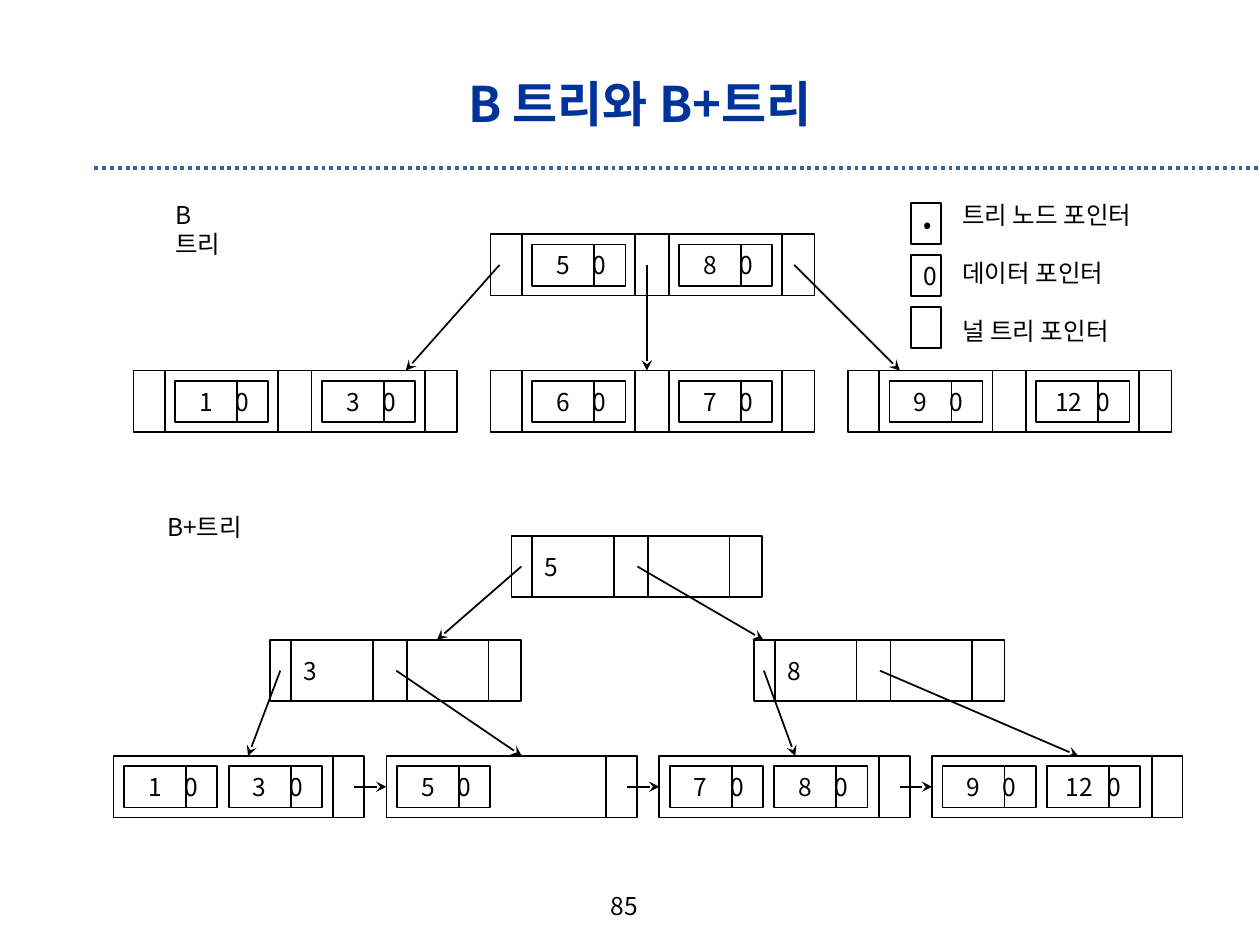
from lxml.etree import SubElement
from pptx import Presentation
from pptx.dml.color import RGBColor
from pptx.enum.dml import MSO_LINE
from pptx.enum.shapes import MSO_CONNECTOR, MSO_SHAPE
from pptx.enum.text import MSO_ANCHOR, PP_ALIGN
from pptx.oxml.ns import qn
from pptx.util import Cm, Pt

COLORS = {"ink": "000000", "paper": "FFFFFF", "title": "003399", "rule": "336699"}
FONT = "Noto Sans CJK KR"
NODE_HEIGHT = 1.24
ENTRY_INSET = 0.21
POINTER_Y = 0.62
B_PITCH = 7.2
LEAF_PITCH = 5.5


def color(key):
    """Look up a palette colour."""
    return RGBColor.from_string(COLORS[key])


def write(shape, text, size=14, ink="ink", bold=False, align=PP_ALIGN.LEFT,
          anchor=MSO_ANCHOR.MIDDLE, left=0.25, right=0.0):
    """Put styled text into a shape, one paragraph per line."""
    frame = shape.text_frame
    frame.word_wrap = True
    frame.vertical_anchor = anchor
    frame.margin_left, frame.margin_right = Cm(left), Cm(right)
    frame.text = text
    for paragraph in frame.paragraphs:
        paragraph.alignment = align
        font = paragraph.font
        font.name, font.size, font.bold = FONT, Pt(size), bold
        font.color.rgb = color(ink)
        SubElement(font._element, qn("a:ea"), typeface=FONT)
    return frame


def add_label(slide, x, y, width, height, text, **style):
    """Add a text box."""
    return write(slide.shapes.add_textbox(Cm(x), Cm(y), Cm(width), Cm(height)), text, **style)


def add_box(slide, x, y, width, height):
    """Add a white outlined rectangle."""
    box = slide.shapes.add_shape(MSO_SHAPE.RECTANGLE, Cm(x), Cm(y), Cm(width), Cm(height))
    box.shadow.inherit = False
    box.fill.solid()
    box.fill.fore_color.rgb = color("paper")
    box.line.color.rgb = color("ink")
    box.line.width = Pt(1)
    return box


def add_line(slide, start, end, ink="ink", width=1, arrow=False):
    """Add a straight line, with an arrowhead at its end if asked."""
    line = slide.shapes.add_connector(
        MSO_CONNECTOR.STRAIGHT, *(Cm(value) for value in (*start, *end)))
    line.line.color.rgb = color(ink)
    line.line.width = Pt(width)
    if arrow:
        SubElement(line.line._get_or_add_ln(), qn("a:tailEnd"), type="stealth")
    SubElement(line._element.spPr, qn("a:effectLst"))
    return line


def add_entry(slide, x, y, key):
    """Draw a key with its data pointer."""
    width, height, divider, pointer = 1.88, 0.83, 1.25, 1.22
    left = 0.6 - 0.11 * len(key)
    frame = write(add_box(slide, x, y, width, height), f"{key}\t0", left=left)
    stops = SubElement(frame.paragraphs[0]._p.get_or_add_pPr(), qn("a:tabLst"))
    SubElement(stops, qn("a:tab"), pos=str(Cm(pointer - left)), algn="l")
    properties = stops.getparent()
    properties.insert(0, stops)
    add_line(slide, (x + divider, y), (x + divider, y + height))


def add_b_node(slide, x, y, keys):
    """Draw a B tree node with two entries between three pointers."""
    add_box(slide, x, y, 6.53, NODE_HEIGHT)
    for offset, key in zip((0.63, 3.59), keys):
        add_box(slide, x + offset, y, 2.29, NODE_HEIGHT)
        add_entry(slide, x + offset + ENTRY_INSET, y + ENTRY_INSET, key)


def add_index_node(slide, x, y, key):
    """Draw a B+ tree index node with one key and one free slot."""
    add_box(slide, x, y, 5.05, NODE_HEIGHT)
    key_slot, _ = [add_box(slide, x + offset, y, 1.65, NODE_HEIGHT) for offset in (0.42, 2.75)]
    write(key_slot, key)


def add_leaf(slide, x, y, keys):
    """Draw a B+ tree leaf with its entries and next pointer."""
    add_box(slide, x, y, 5.05, NODE_HEIGHT)
    for offset, key in zip((ENTRY_INSET, 2.32), keys):
        add_entry(slide, x + offset, y + ENTRY_INSET, key)
    add_line(slide, (x + 4.43, y), (x + 4.43, y + NODE_HEIGHT))


def add_pointers(slide, x, y, offsets, targets, child_y):
    """Draw arrows from a node's pointers to its children."""
    for offset, target in zip(offsets, targets):
        add_line(slide, (x + offset, y + POINTER_Y), (target, child_y), arrow=True)


def add_b_tree(slide, x, y):
    """Draw the B tree."""
    add_label(slide, x + 0.59, y - 0.81, 1.85, 1.4, "B\v트리", anchor=MSO_ANCHOR.TOP
              ).paragraphs[0].line_spacing = Pt(16.6)
    root_x, child_y = x + B_PITCH, y + 2.75
    add_b_node(slide, root_x, y, ("5", "8"))
    for index, keys in enumerate((("1", "3"), ("6", "7"), ("9", "12"))):
        add_b_node(slide, x + index * B_PITCH, child_y, keys)
    targets = (x + 5.49, root_x + 3.15, x + 15.45)
    add_pointers(slide, root_x, y, (0.18, 3.15, 6.12), targets, child_y)


def add_b_plus_tree(slide, x, y):
    """Draw the B+ tree."""
    add_label(slide, x + 0.83, y - 0.61, 2.5, 0.86, "B+트리")
    index_y, leaf_y = y + 2.1, y + 4.44
    nodes = (
        (x + 8.02, y, "5", (x + 6.52, x + 13.1), index_y),
        (x + 3.16, index_y, "3", (x + 2.71, x + 8.23), leaf_y),
        (x + 12.91, index_y, "8", (x + 13.74, x + 19.45), leaf_y),
    )
    for node_x, node_y, key, _, _ in nodes:
        add_index_node(slide, node_x, node_y, key)
    leaves = (("1", "3"), ("5",), ("7", "8"), ("9", "12"))
    for index, keys in enumerate(leaves):
        add_leaf(slide, x + index * LEAF_PITCH, leaf_y, keys)
    for node_x, node_y, _, targets, child_y in nodes:
        add_pointers(slide, node_x, node_y, (0.2, 2.54), targets, child_y)
    for index in range(len(leaves) - 1):
        leaf_x, link_y = x + index * LEAF_PITCH, leaf_y + POINTER_Y
        add_line(slide, (leaf_x + 4.85, link_y), (leaf_x + LEAF_PITCH, link_y), arrow=True)


def add_legend(slide, x, y):
    """Draw the key to the pointer symbols."""
    for index, symbol in enumerate(("•", "0", "")):
        box = add_box(slide, x, y + index * 1.05, 0.61, 0.83)
        if symbol:
            write(box, symbol)
    meanings = add_label(slide, x + 0.79, y - 0.18, 4.24, 3.2,
                         "트리 노드 포인터\n데이터 포인터\n널 트리 포인터", anchor=MSO_ANCHOR.TOP)
    for index, paragraph in enumerate(meanings.paragraphs):
        paragraph.line_spacing = Pt(16.6)
        paragraph.space_before = Pt(16.6 if index else 0)


def add_heading(slide, x, y):
    """Add the title and the dotted rule below it."""
    add_label(slide, x, y, 23.0, 2.59, "B 트리와 B+트리", size=28, ink="title", bold=True,
              align=PP_ALIGN.CENTER, right=0.25)
    rule_y = y + 2.59
    rule = add_line(slide, (x + 0.5, rule_y), (25.4, rule_y), ink="rule", width=2.25)
    rule.line.dash_style = MSO_LINE.ROUND_DOT


def main():
    """Build the slide."""
    deck = Presentation()
    deck.slide_width, deck.slide_height = Cm(25.4), Cm(19.05)
    slide = deck.slides.add_slide(deck.slide_layouts[6])
    add_heading(slide, 1.4, 0.79)
    add_b_tree(slide, 2.69, 4.72)
    add_legend(slide, 18.36, 4.09)
    add_b_plus_tree(slide, 2.29, 10.8)
    add_label(slide, 10.36, 17.81, 4.45, 0.91, "85", align=PP_ALIGN.CENTER, right=0.25)
    deck.save("out.pptx")


if __name__ == "__main__":
    main()
